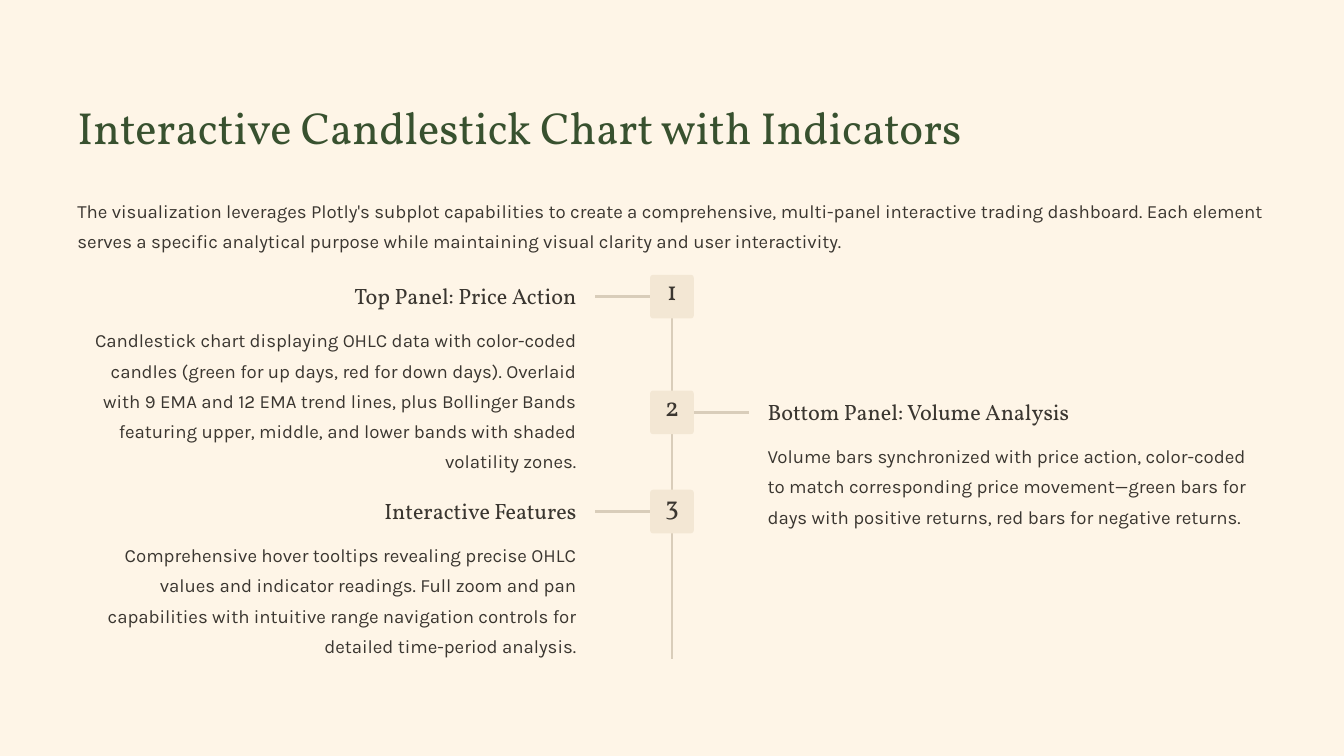
from dataclasses import dataclass

from lxml import etree
from pptx import Presentation
from pptx.dml.color import RGBColor
from pptx.enum.shapes import MSO_CONNECTOR, MSO_SHAPE
from pptx.enum.text import MSO_ANCHOR, MSO_AUTO_SIZE, PP_ALIGN
from pptx.oxml.ns import qn
from pptx.util import Cm, Pt

LEFT, CENTER, RIGHT = PP_ALIGN.LEFT, PP_ALIGN.CENTER, PP_ALIGN.RIGHT
TOP = MSO_ANCHOR.TOP
NO_FIT = MSO_AUTO_SIZE.NONE
STRAIGHT = MSO_CONNECTOR.STRAIGHT
ROUNDED = MSO_SHAPE.ROUNDED_RECTANGLE

COLOURS = {
    "page": "FEF5E7",
    "title": "38512F",
    "text": "3A3630",
    "line": "D9CDBA",
    "badge": "F3E7D4",
}

# Lengths in centimetres
PAGE_WIDTH, PAGE_HEIGHT = 40.64, 22.86
AXIS = PAGE_WIDTH / 2
MARGIN = 2.34
COLUMN_WIDTH = 15.09
TIMELINE_TOP, TIMELINE_BOTTOM = 8.31, 19.94
BADGE_SIZE = 1.32
NUMBER_WIDTH = 0.81
BRANCH_NEAR, BRANCH_FAR = 0.59, 2.34


@dataclass(frozen=True)
class TextStyle:
    font: str
    size: float
    spacing: float
    colour: str = "text"


@dataclass(frozen=True)
class Step:
    top: float
    side: int  # -1 is left of the axis, 1 is right
    heading_width: float
    body_height: float
    heading: str
    body: str


TITLE = TextStyle("Vollkorn", 38.5, 48.5, "title")
HEADING = TextStyle("Vollkorn", 19, 24)
NUMBER = TextStyle("Vollkorn", 23, 23)
BODY = TextStyle("Karla", 16, 26)

INTRO = (
    "The visualization leverages Plotly's subplot capabilities to create a "
    "comprehensive, multi-panel interactive trading dashboard. Each element serves "
    "a specific analytical purpose while maintaining visual clarity and user "
    "interactivity."
)

STEPS = [
    Step(
        TIMELINE_TOP, -1, 7.37, 3.73, "Top Panel: Price Action",
        "Candlestick chart displaying OHLC data with color-coded candles (green for "
        "up days, red for down days). Overlaid with 9 EMA and 12 EMA trend lines, "
        "plus Bollinger Bands featuring upper, middle, and lower bands with shaded "
        "volatility zones.",
    ),
    Step(
        11.81, 1, 9.78, 2.79, "Bottom Panel: Volume Analysis",
        "Volume bars synchronized with price action, color-coded to match "
        "corresponding price movement—green bars for days with positive returns, "
        "red bars for negative returns.",
    ),
    Step(
        14.81, -1, 6.83, 3.73, "Interactive Features",
        "Comprehensive hover tooltips revealing precise OHLC values and indicator "
        "readings. Full zoom and pan capabilities with intuitive range navigation "
        "controls for detailed time-period analysis.",
    ),
]


def colour(name: str) -> RGBColor:
    return RGBColor.from_string(COLOURS[name])


def write(box, text: str, style: TextStyle, align=LEFT) -> None:
    frame = box.text_frame
    frame.margin_left = frame.margin_right = 0
    frame.margin_top = frame.margin_bottom = 0
    frame.word_wrap = True
    frame.auto_size = NO_FIT
    frame.vertical_anchor = TOP
    frame.text = text
    para = frame.paragraphs[0]
    para.alignment = align
    para.line_spacing = Pt(style.spacing)
    para.font.name = style.font
    para.font.size = Pt(style.size)
    para.font.color.rgb = colour(style.colour)


def add_text(page, left: float, top: float, width: float, height: float,
             text: str, style: TextStyle, align=LEFT) -> None:
    box = page.shapes.add_textbox(Cm(left), Cm(top), Cm(width), Cm(height))
    write(box, text, style, align)


def add_line(page, x1: float, y1: float, x2: float, y2: float) -> None:
    line = page.shapes.add_connector(STRAIGHT, Cm(x1), Cm(y1), Cm(x2), Cm(y2))
    line.line.color.rgb = colour("line")
    line.line.width = Cm(0.07)
    etree.SubElement(line._element.spPr, qn("a:effectLst"))


def add_badge(page, top: float, number: int) -> None:
    badge = page.shapes.add_shape(
        ROUNDED, Cm(AXIS - BADGE_SIZE / 2), Cm(top), Cm(BADGE_SIZE), Cm(BADGE_SIZE))
    badge.adjustments[0] = 0.07
    badge.shadow.inherit = False
    badge.fill.solid()
    badge.fill.fore_color.rgb = colour("badge")
    badge.line.fill.background()
    add_text(page, AXIS - NUMBER_WIDTH / 2, top + 0.14, NUMBER_WIDTH, 1.02,
             str(number), NUMBER, CENTER)


def add_step(page, step: Step, number: int) -> None:
    middle = step.top + BADGE_SIZE / 2
    add_line(page, AXIS + step.side * BRANCH_NEAR, middle,
             AXIS + step.side * BRANCH_FAR, middle)
    add_badge(page, step.top, number)
    if step.side < 0:
        align, body_left = RIGHT, MARGIN
        heading_left = MARGIN + COLUMN_WIDTH - step.heading_width
    else:
        align, body_left = LEFT, PAGE_WIDTH - MARGIN - COLUMN_WIDTH
        heading_left = body_left
    add_text(page, heading_left, step.top + 0.2, step.heading_width, 0.86,
             step.heading, HEADING, align)
    add_text(page, body_left, step.top + 1.4, COLUMN_WIDTH, step.body_height,
             step.body, BODY, align)


def main() -> None:
    deck = Presentation()
    deck.slide_width, deck.slide_height = Cm(PAGE_WIDTH), Cm(PAGE_HEIGHT)
    page = deck.slides.add_slide(deck.slide_layouts[5])
    page.background.fill.solid()
    page.background.fill.fore_color.rgb = colour("page")

    title = page.shapes.title
    title.left, title.top = Cm(MARGIN), Cm(2.92)
    title.width, title.height = Cm(28.7), Cm(1.7)
    write(title, "Interactive Candlestick Chart with Indicators", TITLE)

    add_text(page, MARGIN, 5.79, PAGE_WIDTH - 2 * MARGIN, 1.85, INTRO, BODY)
    add_line(page, AXIS, TIMELINE_TOP, AXIS, TIMELINE_BOTTOM)
    for number, step in enumerate(STEPS, start=1):
        add_step(page, step, number)
    deck.save("out.pptx")


if __name__ == "__main__":
    main()
